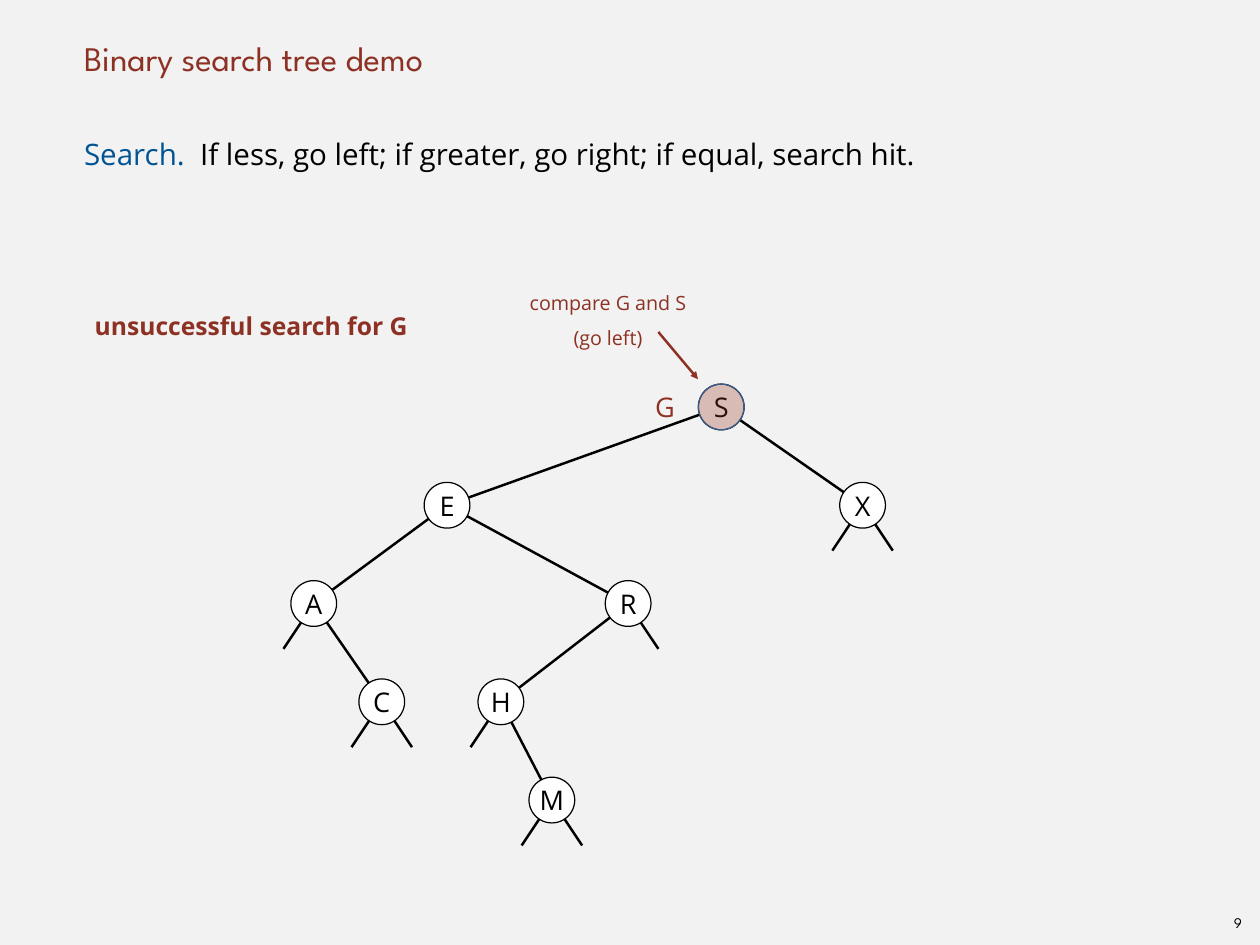
from dataclasses import dataclass

from pptx import Presentation
from pptx.dml.color import RGBColor
from pptx.enum.shapes import MSO_CONNECTOR as Connector, MSO_SHAPE as Shape
from pptx.enum.text import MSO_ANCHOR as Anchor, MSO_AUTO_SIZE as AutoSize, PP_ALIGN as Align
from pptx.oxml.ns import qn
from pptx.util import Inches, Pt
from lxml.etree import SubElement

COLORS = {
    "paper": "F2F2F2", "ink": "000000", "node": "FFFFFF",
    "accent": "8D3124", "term": "005493", "ring": "385D8A",
}
TITLE_FONT, BODY_FONT = "League Spartan", "Open Sans"

# The slide is a grid of 100 columns by 75 rows of square cells.
WIDTH, HEIGHT = Inches(14.22), Inches(10.67)
COLUMN, ROW = WIDTH / 100, HEIGHT / 75

ROOT_ROW, LEVEL_ROWS = 32.3, 7.8
DIAMETER = 3.63
STUB_COLUMNS, STUB_ROWS = 2.4, 3.6
INDENT = Inches(0.06)


@dataclass(frozen=True)
class Area:
    column: float
    row: float
    columns: float
    rows: float


@dataclass(frozen=True)
class Node:
    key: str
    column: float
    level: int
    left: str = ""
    right: str = ""

    @property
    def row(self) -> float:
        return ROOT_ROW + self.level * LEVEL_ROWS


@dataclass(frozen=True)
class Label:
    lines: tuple[str, ...]
    area: Area
    size: int
    color: str = "accent"
    font: str = BODY_FONT
    bold: bool = False
    align: Align = Align.CENTER
    anchor: Anchor = Anchor.TOP
    spacing: float = 1.0


TREE = {
    node.key: node
    for node in (
        Node("S", 57.24, 0, "E", "X"),
        Node("E", 35.48, 1, "A", "R"),
        Node("X", 68.46, 1),
        Node("A", 24.9, 2, "", "C"),
        Node("R", 49.85, 2, "H", ""),
        Node("C", 30.3, 3),
        Node("H", 39.75, 3, "", "M"),
        Node("M", 43.8, 4),
    )
}


def disc_area(column: float, row: float) -> Area:
    return Area(column - DIAMETER / 2, row - DIAMETER / 2, DIAMETER, DIAMETER)


LABELS = (
    Label(("compare G and S", "(go left)"), Area(40.9, 22.15, 14.7, 5.2), 16, spacing=1.5),
    Label(("unsuccessful search for G",), Area(7.52, 24.68, 27.36, 3.02), 20,
          bold=True, align=Align.LEFT),
    Label(("G",), disc_area(52.78, ROOT_ROW), 22, anchor=Anchor.MIDDLE),
    Label(("9",), Area(97.05, 72.1, 2.4, 2.25), 12, "ink", TITLE_FONT, anchor=Anchor.MIDDLE),
)


def rgb(name: str) -> RGBColor:
    return RGBColor.from_string(COLORS[name])


def emu(area: Area) -> tuple[int, int, int, int]:
    return (round(area.column * COLUMN), round(area.row * ROW),
            round(area.columns * COLUMN), round(area.rows * ROW))


def prepare_frame(frame, anchor: Anchor) -> None:
    frame.margin_left = frame.margin_right = frame.margin_top = frame.margin_bottom = 0
    frame.auto_size = AutoSize.NONE
    frame.word_wrap = True
    frame.vertical_anchor = anchor


def set_font(font, name: str, size: int, color: str, bold: bool = False) -> None:
    font.name, font.size, font.bold = name, Pt(size), bold
    font.color.rgb = rgb(color)


def fit_placeholder(holder, area: Area, anchor: Anchor):
    """Move a placeholder and return its first paragraph, left-aligned without a bullet."""
    holder.left, holder.top, holder.width, holder.height = emu(area)
    prepare_frame(holder.text_frame, anchor)
    para = holder.text_frame.paragraphs[0]
    properties = para._p.get_or_add_pPr()
    properties.set("marL", str(INDENT))
    properties.set("indent", "0")
    SubElement(properties, qn("a:buNone"))
    para.alignment = Align.LEFT
    para.space_before = Pt(0)
    return para


def add_label(page, label: Label) -> None:
    frame = page.shapes.add_textbox(*emu(label.area)).text_frame
    prepare_frame(frame, label.anchor)
    frame.text = "\n".join(label.lines)
    for para in frame.paragraphs:
        para.alignment = label.align
        para.line_spacing = label.spacing
        set_font(para.font, label.font, label.size, label.color, label.bold)


def add_line(page, start: tuple[float, float], end: tuple[float, float], color: str = "ink"):
    line = page.shapes.add_connector(
        Connector.STRAIGHT, round(start[0] * COLUMN), round(start[1] * ROW),
        round(end[0] * COLUMN), round(end[1] * ROW))
    line.line.color.rgb = rgb(color)
    line.line.width = Pt(2)
    SubElement(line._element.spPr, qn("a:effectLst"))
    return line


def add_branches(page, node: Node) -> None:
    """Draw both links of a node; a link without a child ends in a short stub."""
    for side, key in ((-1, node.left), (1, node.right)):
        if key:
            end = (TREE[key].column, TREE[key].row)
        else:
            end = (node.column + side * STUB_COLUMNS, node.row + STUB_ROWS)
        add_line(page, (node.column, node.row), end)


def add_disc(page, node: Node, fill: str, outline: str):
    disc = page.shapes.add_shape(Shape.OVAL, *emu(disc_area(node.column, node.row)))
    disc.shadow.inherit = False
    disc.fill.solid()
    disc.fill.fore_color.rgb = rgb(fill)
    disc.line.color.rgb = rgb(outline)
    disc.line.width = Pt(1)
    return disc


def add_node(page, node: Node) -> None:
    frame = add_disc(page, node, "node", "ink").text_frame
    prepare_frame(frame, Anchor.MIDDLE)
    para = frame.paragraphs[0]
    para.text = node.key
    para.alignment = Align.CENTER
    set_font(para.font, BODY_FONT, 22, "ink")


def add_highlight(page, node: Node) -> None:
    tint = add_disc(page, node, "accent", "ring")
    color = tint._element.spPr.find(qn("a:solidFill")).find(qn("a:srgbClr"))
    SubElement(color, qn("a:alpha"), val="33000")


def add_heading(page) -> None:
    title = fit_placeholder(page.shapes.title, Area(6.25, 0, 87.5, 6.25), Anchor.BOTTOM)
    title.text = "Binary search tree demo"
    set_font(title.font, TITLE_FONT, 28, "accent")

    rule = fit_placeholder(page.placeholders[1], Area(6.25, 9.77, 87.5, 62.5), Anchor.TOP)
    rule.line_spacing = Pt(39)
    for text, color in (("Search.  ", "term"),
                        ("If less, go left; if greater, go right; if equal, search hit.", "ink")):
        span = rule.add_run()
        span.text = text
        set_font(span.font, BODY_FONT, 24, color)


def main() -> None:
    deck = Presentation()
    deck.slide_width, deck.slide_height = WIDTH, HEIGHT
    page = deck.slides.add_slide(deck.slide_layouts[1])
    page.background.fill.solid()
    page.background.fill.fore_color.rgb = rgb("paper")

    add_heading(page)
    for node in TREE.values():
        add_branches(page, node)
    for node in TREE.values():
        add_node(page, node)
    add_highlight(page, TREE["S"])
    for label in LABELS:
        add_label(page, label)
    arrow = add_line(page, (52.25, 26.35), (55.4, 30.1), "accent")
    SubElement(arrow.line._get_or_add_ln(), qn("a:tailEnd"), type="triangle")
    deck.save("out.pptx")


if __name__ == "__main__":
    main()
